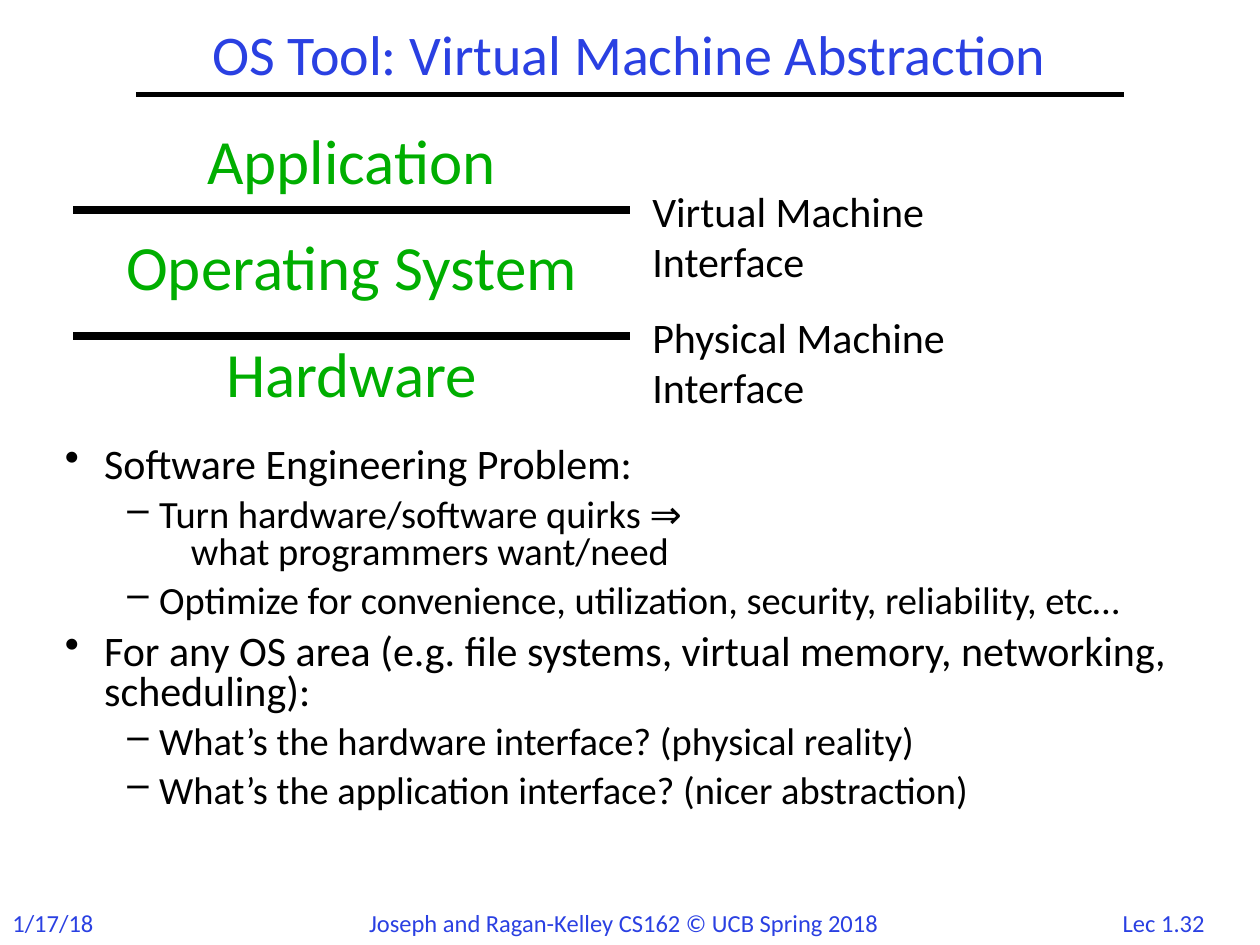
"""Build a lecture slide on the virtual machine abstraction."""
from lxml import etree
from pptx import Presentation
from pptx.dml.color import RGBColor
from pptx.enum.shapes import MSO_CONNECTOR
from pptx.enum.text import MSO_ANCHOR, PP_ALIGN
from pptx.oxml.ns import qn
from pptx.util import Cm, Pt

LEFT, CENTER = PP_ALIGN.LEFT, PP_ALIGN.CENTER
MIDDLE = MSO_ANCHOR.MIDDLE
STRAIGHT = MSO_CONNECTOR.STRAIGHT
BLUE, GREEN, BLACK = "2A40E2", "00AE00", "000000"


def color(value):
    return RGBColor.from_string(value)


def add_text(paragraph, text, size, fill, align=LEFT):
    paragraph.alignment = align
    for index, line in enumerate(text.split("\n")):
        if index:
            paragraph.add_line_break()
        run = paragraph.add_run()
        run.text = line
        run.font.name = "Calibri"
        run.font.size = Pt(size)
        run.font.color.rgb = color(fill)


presentation = Presentation()
presentation.slide_width, presentation.slide_height = Cm(25.4), Cm(19.05)
slide = presentation.slides.add_slide(presentation.slide_layouts[6])

rules = [(2.74, 22.66, 1.9, 3), (1.48, 12.7, 4.24, 4.5), (1.48, 12.7, 6.78, 4.5)]
for start, end, top, width in rules:
    rule = slide.shapes.add_connector(STRAIGHT, Cm(start), Cm(top), Cm(end), Cm(top))
    rule.line.color.rgb = color(BLACK)
    rule.line.width = Pt(width)
    etree.SubElement(rule._element.spPr, qn("a:effectLst"))

labels = [
    ("Lec 1.32", 22.28, 18.19, 2.36, 0.84, 14, BLUE, CENTER),
    ("1/17/18", 0, 18.19, 2.3, 0.86, 14, BLUE, LEFT),
    ("Joseph and Ragan-Kelley CS162 © UCB Spring 2018", 7.19, 18.19, 11.05, 0.86, 14, BLUE, LEFT),
    ("Virtual Machine Interface", 12.9, 3.61, 8, 1.3, 24, BLACK, LEFT),
    ("Physical Machine Interface", 12.9, 6.15, 8, 1.3, 24, BLACK, LEFT),
]
for text, left, top, width, height, size, fill, align in labels:
    label = slide.shapes.add_textbox(Cm(left), Cm(top), Cm(width), Cm(height))
    label.text_frame.word_wrap = True
    add_text(label.text_frame.paragraphs[0], text, size, fill, align)

title = slide.shapes.add_textbox(Cm(2.74), Cm(0.43), Cm(19.9), Cm(1.47))
title.text_frame.word_wrap = True
title.text_frame.vertical_anchor = MIDDLE
title_paragraph = title.text_frame.paragraphs[0]
title_paragraph.line_spacing = 0.9
add_text(title_paragraph, "OS Tool: Virtual Machine Abstraction", 32, BLUE, CENTER)

layers = slide.shapes.add_textbox(Cm(0.64), Cm(2.33), Cm(12.9), Cm(6.35))
layers.text_frame.word_wrap = True
for index, name in enumerate(["Application", "Operating System", "Hardware"]):
    paragraph = layers.text_frame.add_paragraph() if index else layers.text_frame.paragraphs[0]
    if index:
        paragraph.space_before = Pt(17.5)
    add_text(paragraph, name, 36, GREEN, CENTER)

levels = [("•", 24, 0.79, 0.79), ("–", 22, 1.9, 0.64)]
points = [
    (0, "Software Engineering Problem:"),
    (1, "Turn hardware/software quirks ⇒\n\twhat programmers want/need"),
    (1, "Optimize for convenience, utilization, security, reliability, etc…"),
    (0, "For any OS area (e.g. file systems, virtual memory, networking, scheduling):"),
    (1, "What’s the hardware interface? (physical reality)"),
    (1, "What’s the application interface? (nicer abstraction)"),
]
body = slide.shapes.add_textbox(Cm(1.06), Cm(8.89), Cm(23.7), Cm(8.69))
body.text_frame.word_wrap = True
for index, (level, text) in enumerate(points):
    bullet, size, margin, hanging = levels[level]
    paragraph = body.text_frame.add_paragraph() if index else body.text_frame.paragraphs[0]
    paragraph.level = level
    properties = paragraph._p.get_or_add_pPr()
    properties.set("marL", str(Cm(margin)))
    properties.set("indent", str(-Cm(hanging)))
    etree.SubElement(properties, qn("a:buChar"), char=bullet)
    paragraph.line_spacing = 0.8
    if index:
        paragraph.space_before = Pt(0.3 * size)
    add_text(paragraph, text, size, BLACK)

presentation.save("out.pptx")
